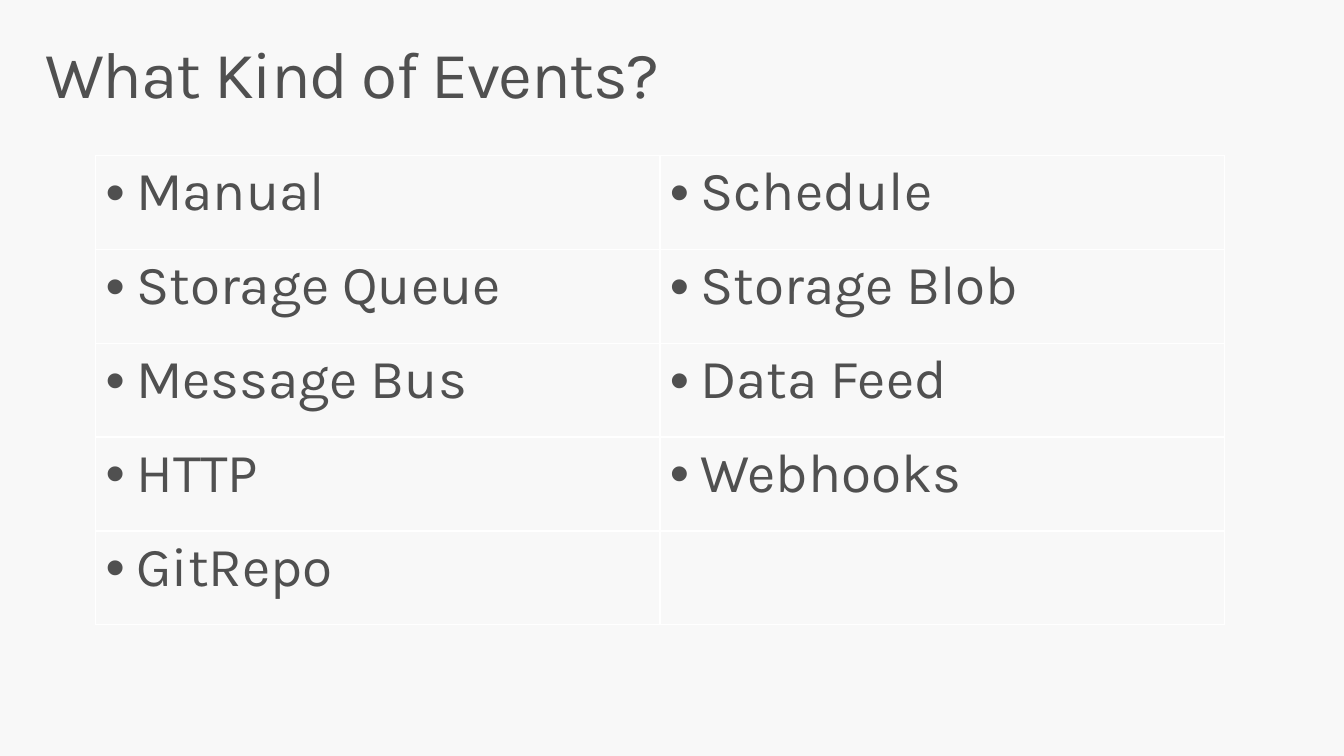
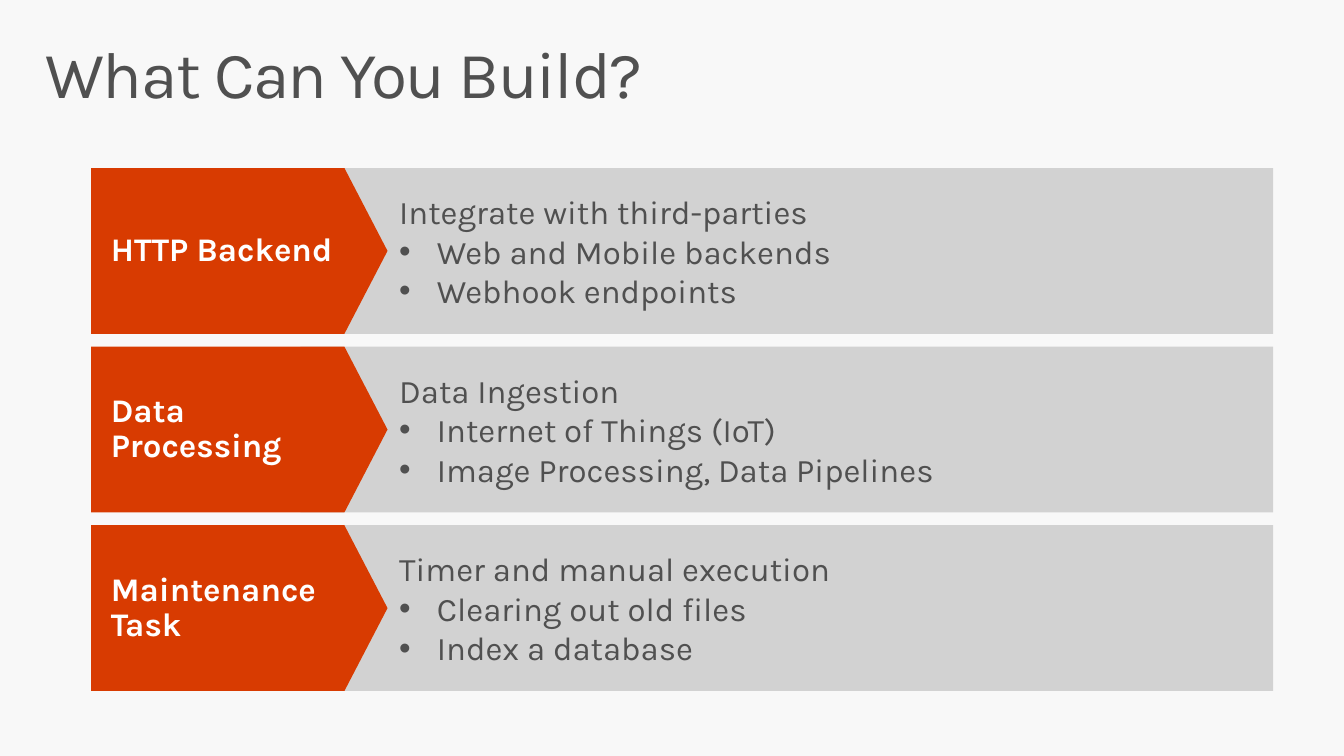
from typing import Any, NamedTuple

from lxml import etree
from pptx import Presentation, util as u
from pptx.dml.color import RGBColor
from pptx.enum import shapes, text
from pptx.oxml.ns import qn

FONT = "Karla"
PAPER, INK, WHITE = "F8F8F8", "505050", "FFFFFF"
GRAY, ORANGE = "D2D2D2", "D83B01"


class Box(NamedTuple):
    left: float
    top: float
    width: float
    height: float


class Look(NamedTuple):
    size: int
    color: str = INK
    bold: bool = False
    lead: float = 1.0
    track: int = 0


class Band(NamedTuple):
    name: str
    head: str
    items: tuple[str, ...]


TITLE = Look(48, lead=0.9, track=-100)
CELL = Look(40)
BODY = Look(24)
LABEL = Look(24, WHITE, True, 0.9)

EVENTS = (
    ("Manual", "Schedule"),
    ("Storage Queue", "Storage Blob"),
    ("Message Bus", "Data Feed"),
    ("HTTP", "Webhooks"),
    ("GitRepo", ""),
)
BANDS = (
    Band("HTTP Backend", "Integrate with third-parties",
         ("Web and Mobile backends", "Webhook endpoints")),
    Band("Data Processing", "Data Ingestion",
         ("Internet of Things (IoT)", "Image Processing, Data Pipelines")),
    Band("Maintenance Task", "Timer and manual execution",
         ("Clearing out old files", "Index a database")),
)


def paint(fill: Any, color: str) -> None:
    fill.solid()
    fill.fore_color.rgb = RGBColor.from_string(color)


def put(item: Any, values: dict[str, Any]) -> None:
    for key, value in values.items():
        setattr(item, key, value)


def place(box: Box) -> list[u.Length]:
    return [u.Cm(value) for value in box]


def frame(shape: Any, sides: tuple[float, float, float], anchor: Any) -> Any:
    left, right, edge = map(u.Cm, sides)
    put(shape.text_frame, {
        "word_wrap": True, "vertical_anchor": anchor,
        "margin_left": left, "margin_right": right,
        "margin_top": edge, "margin_bottom": edge,
    })
    return shape.text_frame


def write(para: Any, words: str, look: Look, indent: float = 0) -> None:
    put(para, {"alignment": text.PP_ALIGN.LEFT, "line_spacing": look.lead})
    if indent:
        props = para._p.get_or_add_pPr()
        props.set("marL", str(u.Cm(indent)))
        props.set("indent", str(-u.Cm(indent)))
        etree.SubElement(props, qn("a:buFont"), typeface="Arial")
        etree.SubElement(props, qn("a:buChar"), char="•")
    run = para.add_run()
    run.text = words
    put(run.font, {"name": FONT, "size": u.Pt(look.size), "bold": look.bold})
    paint(run.font.fill, look.color)
    if look.track:
        run._r.get_or_add_rPr().set("spc", str(look.track))


def start(deck: Any, title: str) -> Any:
    slide = deck.slides.add_slide(deck.slide_layouts[6])
    paint(slide.background.fill, PAPER)
    shape = slide.shapes.add_textbox(*place(Box(0.76, 0.81, 33.02, 2.54)))
    body = frame(shape, (0.41, 0.41, 0.25), text.MSO_ANCHOR.TOP)
    write(body.paragraphs[0], title, TITLE)
    return slide


def edge(cell: Any, color: str) -> None:
    props = cell._tc.get_or_add_tcPr()
    for spot, side in enumerate(("lnL", "lnR", "lnT", "lnB")):
        line = etree.Element(qn(f"a:{side}"), w=str(u.Pt(1)))
        fill = etree.SubElement(line, qn("a:solidFill"))
        etree.SubElement(fill, qn("a:srgbClr"), val=color)
        props.insert(spot, line)


def grid(slide: Any, rows: tuple[tuple[str, ...], ...]) -> None:
    box = Box(2.46, 3.99, 29, 12.07)
    table = slide.shapes.add_table(len(rows), len(rows[0]), *place(box)).table
    put(table, {"first_row": False, "horz_banding": False})
    for r, row in enumerate(rows):
        for c, words in enumerate(row):
            cell = table.cell(r, c)
            cell.fill.background()
            edge(cell, WHITE)
            if words:
                write(cell.text_frame.paragraphs[0], words, CELL, 0.79)


def block(slide: Any, kind: Any, box: Box, color: str, inset: float) -> Any:
    shape = slide.shapes.add_shape(kind, *place(box))
    shape.shadow.inherit = False
    paint(shape.fill, color)
    shape.line.fill.background()
    frame(shape, (inset, 0.51, 0.41), text.MSO_ANCHOR.MIDDLE)
    return shape


def strip(slide: Any, band: Band, top: float, height: float) -> None:
    kinds = shapes.MSO_SHAPE
    panel = block(slide, kinds.RECTANGLE, Box(7.72, top, 25, height), GRAY, 2.54)
    body = panel.text_frame
    write(body.paragraphs[0], band.head, BODY)
    for item in band.items:
        write(body.add_paragraph(), item, BODY, 0.97)
    arrow = block(slide, kinds.PENTAGON, Box(2.34, top, 7.62, height), ORANGE, 0.51)
    arrow.adjustments[0] = 0.26
    write(arrow.text_frame.paragraphs[0], band.name, LABEL)


def main() -> None:
    deck = Presentation()
    put(deck, {"slide_width": u.Cm(34.54), "slide_height": u.Cm(19.43)})
    grid(start(deck, "What Kind of Events?"), EVENTS)
    slide = start(deck, "What Can You Build?")
    height, gap = 4.26, 0.33
    for i, band in enumerate(BANDS):
        strip(slide, band, 4.32 + i * (height + gap), height)
    deck.save("out.pptx")


if __name__ == "__main__":
    main()
